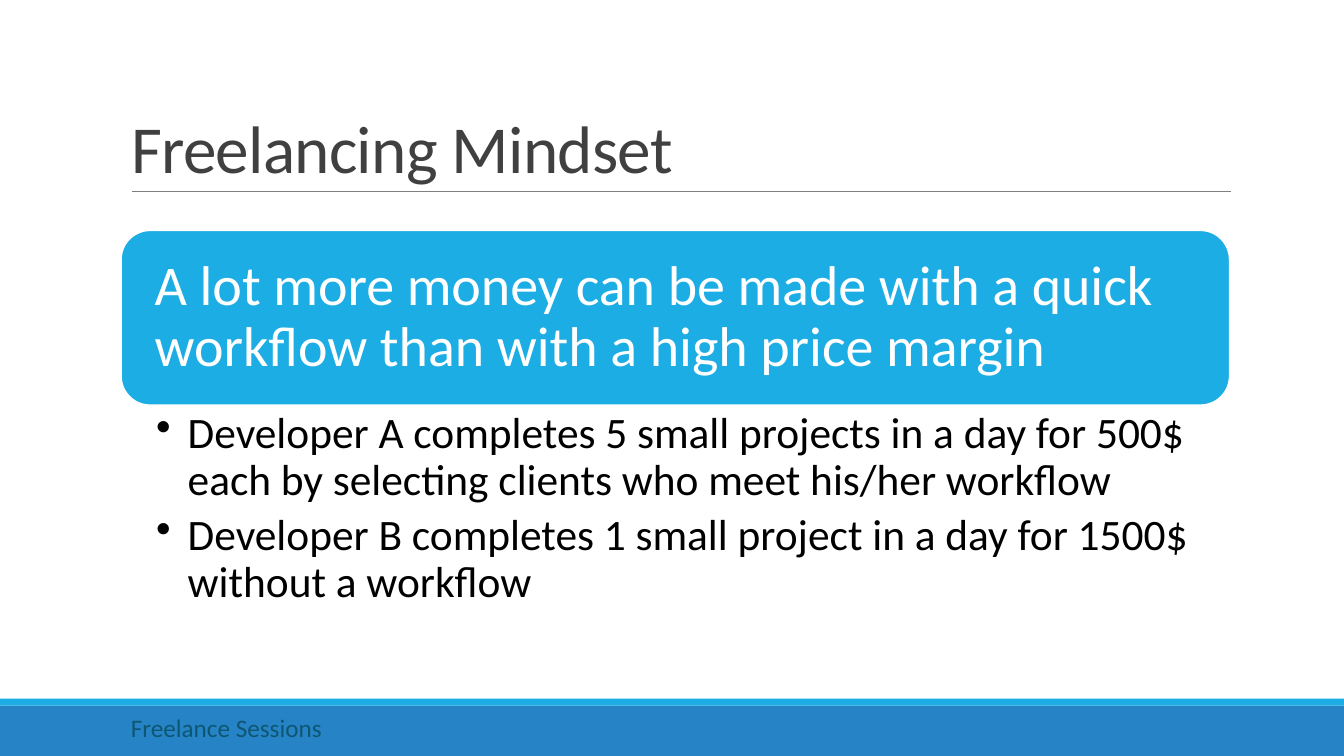
from dataclasses import dataclass

import pptx
import pptx.dml.color
import pptx.enum.shapes
import pptx.enum.text
import pptx.oxml.ns
import pptx.util
from lxml import etree

Pt = pptx.util.Pt
Anchor = pptx.enum.text.MSO_ANCHOR
ShapeKind = pptx.enum.shapes.MSO_SHAPE

COLORS = {
    "white": "FFFFFF",
    "black": "000000",
    "title": "404040",
    "rule": "808080",
    "accent": "1CADE4",
    "band": "2683C6",
    "footer": "0E5772",
}
FONT = "Calibri"
SLIDE_WIDTH, SLIDE_HEIGHT = 960, 540
CONTENT_LEFT, CONTENT_WIDTH = 86.4, 792
BAND_TOP, STRIPE_HEIGHT = 504, 5


@dataclass
class Box:
    left: float
    top: float
    width: float
    height: float

    def lengths(self) -> tuple:
        return Pt(self.left), Pt(self.top), Pt(self.width), Pt(self.height)


@dataclass
class Panel:
    box: Box
    fill: str
    kind: int = ShapeKind.RECTANGLE
    outline: str = ""


def rgb(name: str) -> pptx.dml.color.RGBColor:
    return pptx.dml.color.RGBColor.from_string(COLORS[name])


def add_panel(slide, panel: Panel):
    shape = slide.shapes.add_shape(panel.kind, *panel.box.lengths())
    shape.shadow.inherit = False
    shape.fill.solid()
    shape.fill.fore_color.rgb = rgb(panel.fill)
    if panel.outline:
        shape.line.color.rgb = rgb(panel.outline)
        shape.line.width = Pt(1.25)
    else:
        shape.line.fill.background()
    return shape


def set_text(shape, *texts: str, size: float, color: str, anchor=Anchor.TOP,
             insets: tuple = (7.2, 3.6, 7.2, 3.6), line_spacing: float = 1.0,
             space_after: float = 0, tracking: float = 0, bullet_indent: float = 0) -> None:
    """Write one paragraph per text; insets run left, top, right, bottom."""
    frame = shape.text_frame
    frame.word_wrap = True
    frame.auto_size = pptx.enum.text.MSO_AUTO_SIZE.NONE
    frame.vertical_anchor = anchor
    (frame.margin_left, frame.margin_top,
     frame.margin_right, frame.margin_bottom) = map(Pt, insets)
    for index, text in enumerate(texts):
        paragraph = frame.add_paragraph() if index else frame.paragraphs[0]
        paragraph.alignment = pptx.enum.text.PP_ALIGN.LEFT
        paragraph.line_spacing = line_spacing
        paragraph.space_after = Pt(space_after)
        run = paragraph.add_run()
        run.text = text
        run.font.name = FONT
        run.font.size = Pt(size)
        run.font.color.rgb = rgb(color)
        if tracking:
            run.font._element.set("spc", str(round(tracking * 100)))
        if bullet_indent:
            properties = paragraph._p.get_or_add_pPr()
            properties.set("marL", str(Pt(bullet_indent)))
            properties.set("indent", str(-Pt(bullet_indent)))
            bullet = etree.SubElement(properties, pptx.oxml.ns.qn("a:buChar"))
            bullet.set("char", "•")


def add_rule(slide, left: float, right: float, top: float) -> None:
    rule = slide.shapes.add_connector(
        pptx.enum.shapes.MSO_CONNECTOR.STRAIGHT, Pt(left), Pt(top), Pt(right), Pt(top))
    rule.line.color.rgb = rgb("rule")
    rule.line.width = Pt(0.5)
    etree.SubElement(rule._element.spPr, pptx.oxml.ns.qn("a:effectLst"))


presentation = pptx.Presentation()
presentation.slide_width = Pt(SLIDE_WIDTH)
presentation.slide_height = Pt(SLIDE_HEIGHT)
slide = presentation.slides.add_slide(presentation.slide_layouts[5])

# Footer band with its accent stripe
for panel in (
    Panel(Box(0, BAND_TOP, SLIDE_WIDTH, SLIDE_HEIGHT - BAND_TOP), "band"),
    Panel(Box(0, BAND_TOP - STRIPE_HEIGHT, SLIDE_WIDTH, STRIPE_HEIGHT), "accent"),
):
    add_panel(slide, panel)

# Title and rule
title = slide.shapes.title
title.left, title.top, title.width, title.height = Box(
    CONTENT_LEFT, 22.5, CONTENT_WIDTH, 114.5).lengths()
set_text(title, "Freelancing Mindset", size=48, color="title",
         anchor=Anchor.BOTTOM, line_spacing=0.85, tracking=-0.5)
add_rule(slide, 94.3, 879, 136.8)

# Key statement
statement = add_panel(slide, Panel(
    Box(CONTENT_LEFT, 164.5, CONTENT_WIDTH, 125), "accent",
    ShapeKind.ROUNDED_RECTANGLE, outline="white"))
set_text(statement,
         "A lot more money can be made with a quick workflow than with a high price margin",
         size=40, color="white", anchor=Anchor.MIDDLE,
         insets=(18, 12, 18, 12), line_spacing=0.9)

# Comparison of the two developers
comparison = slide.shapes.add_textbox(*Box(CONTENT_LEFT, 289.5, CONTENT_WIDTH, 153.5).lengths())
set_text(comparison,
         "Developer A completes 5 small projects in a day for 500$ each by selecting "
         "clients who meet his/her workflow",
         "Developer B completes 1 small project in a day for 1500$ without a workflow",
         size=31, color="black", insets=(25.2, 4, 22, 4),
         line_spacing=0.9, space_after=6.2, bullet_indent=22.5)

# Footer text
footer = slide.shapes.add_textbox(*Box(CONTENT_LEFT, 505, 560, 29).lengths())
set_text(footer, "Freelance Sessions", size=18, color="footer")

presentation.save("out.pptx")
